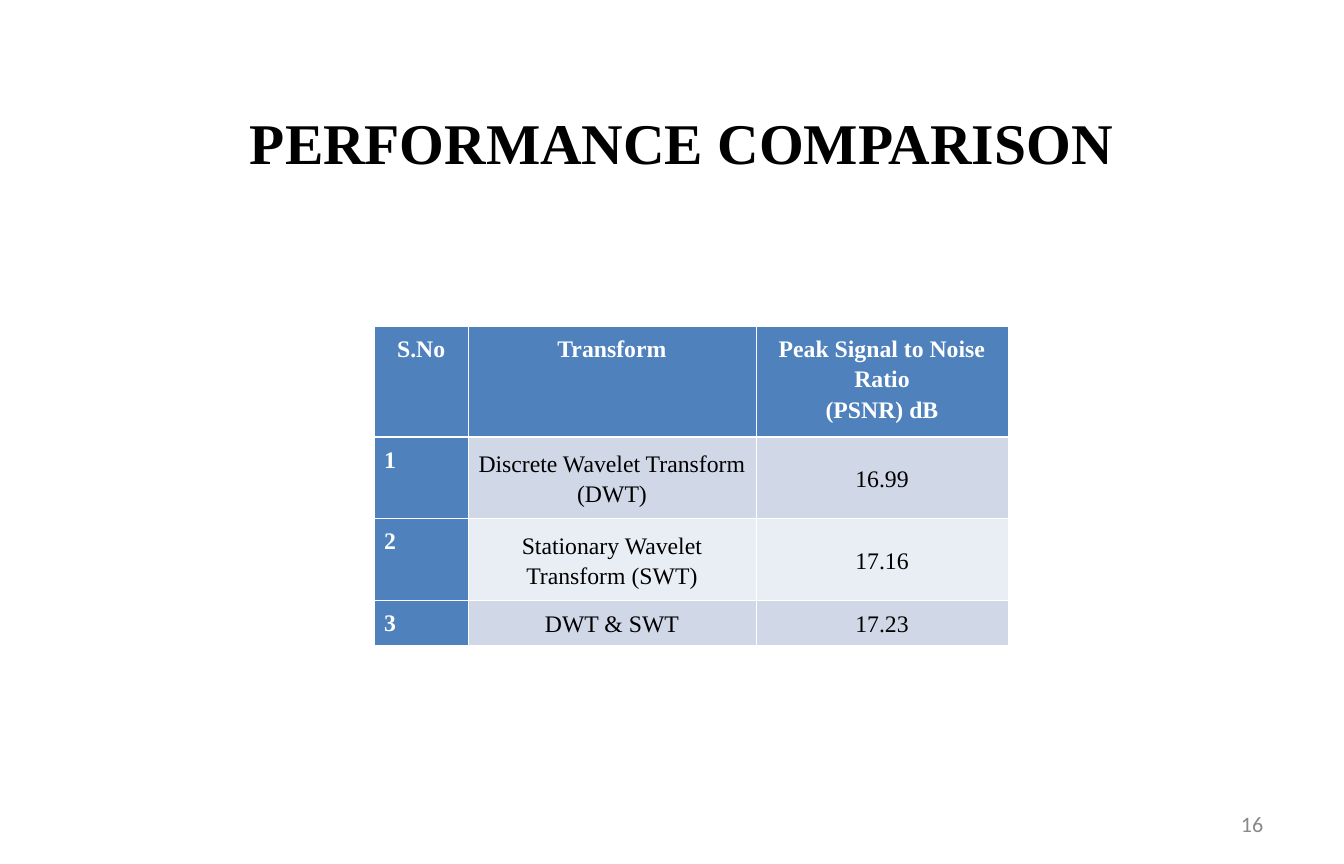
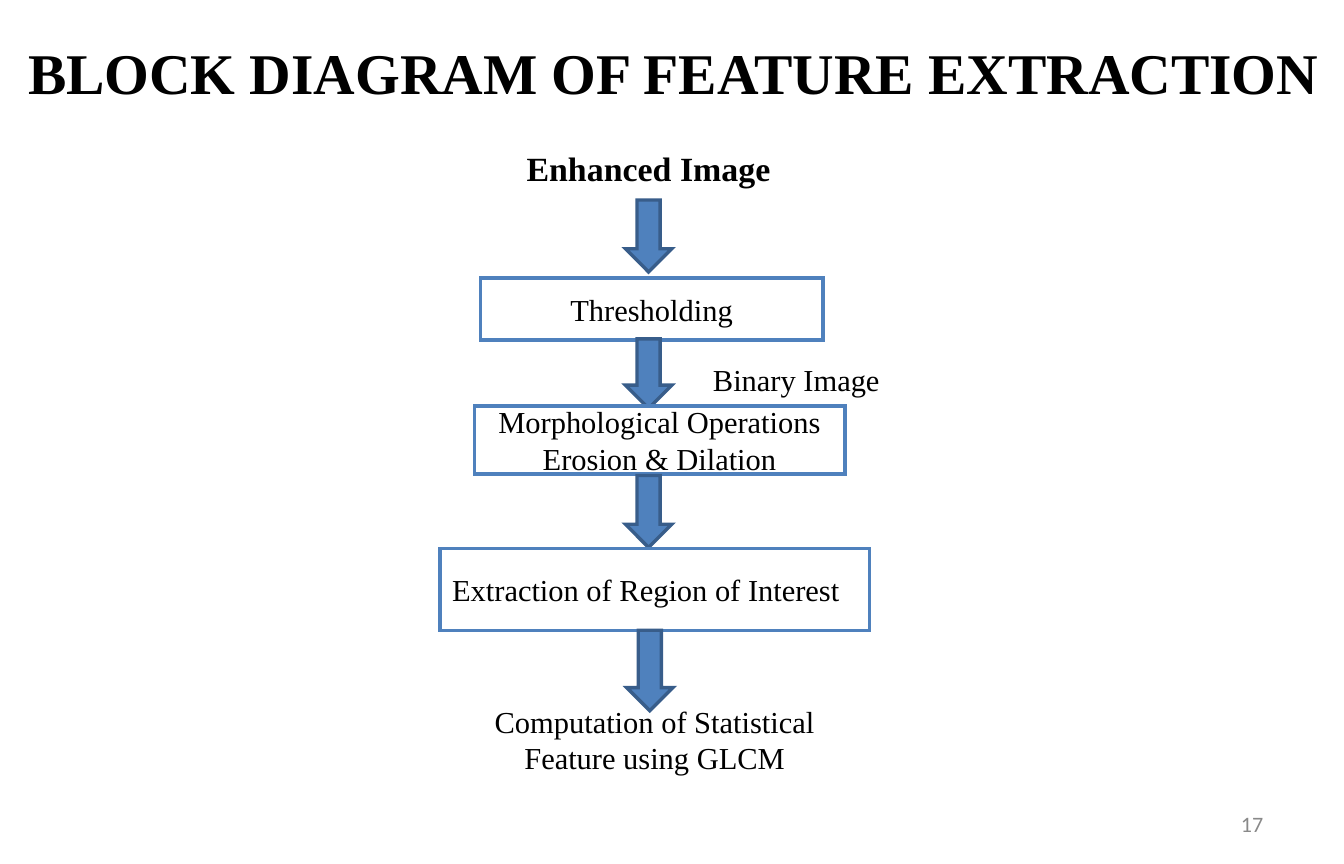
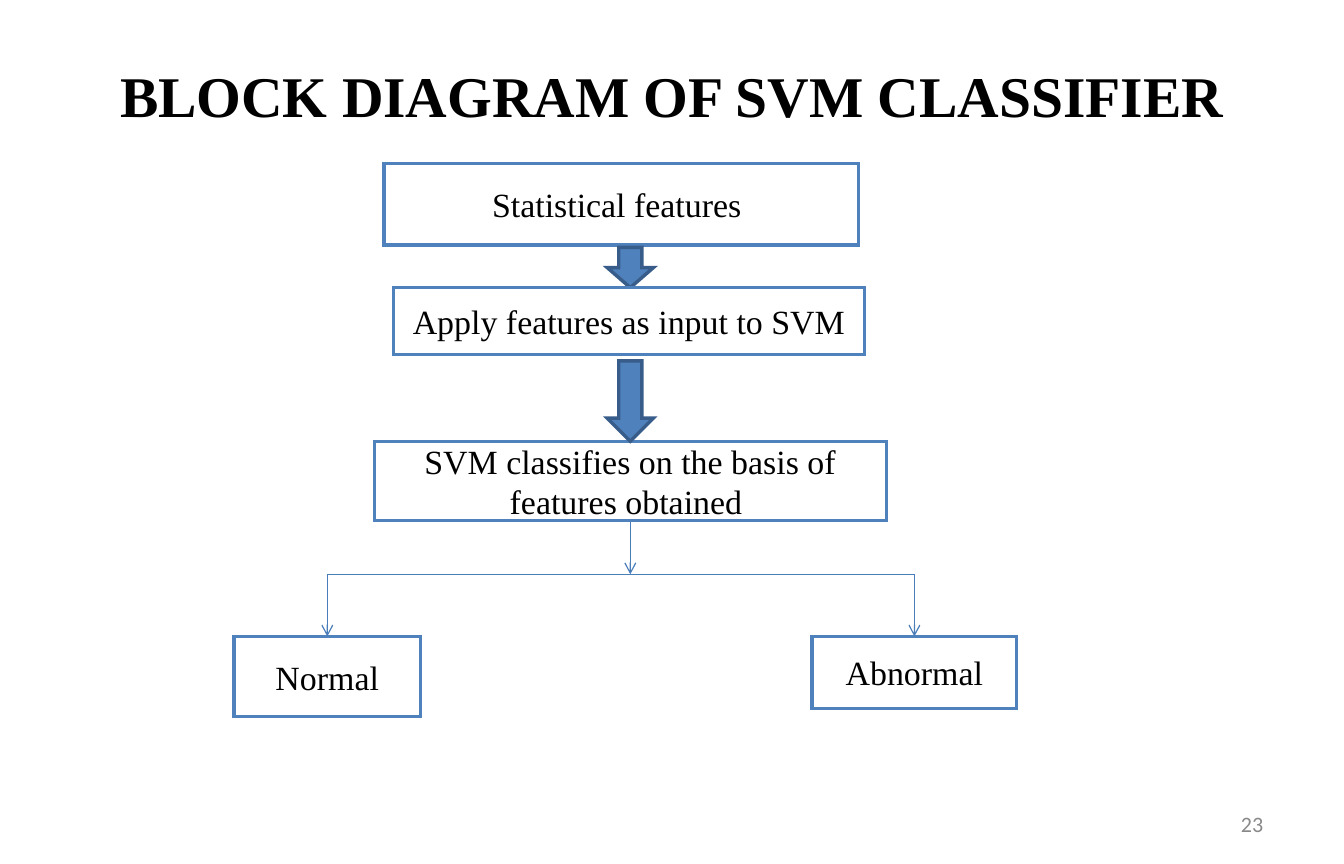
from lxml.etree import SubElement
from pptx import Presentation
from pptx.dml.color import RGBColor
from pptx.enum.shapes import MSO_CONNECTOR as Connector, MSO_SHAPE as Shape
from pptx.enum.text import MSO_ANCHOR as Anchor, MSO_AUTO_SIZE as AutoSize, PP_ALIGN as Align
from pptx.oxml.ns import qn
from pptx.util import Cm, Inches, Pt

BLACK = RGBColor(0x00, 0x00, 0x00)
WHITE = RGBColor(0xFF, 0xFF, 0xFF)
GREY = RGBColor(0x89, 0x89, 0x89)
BLUE = RGBColor(0x4F, 0x81, 0xBD)
DARK_BLUE = RGBColor(0x38, 0x5D, 0x8A)
LINE_BLUE = RGBColor(0x4A, 0x7E, 0xBB)
BAND_DARK = RGBColor(0xD0, 0xD8, 0xE8)
BAND_LIGHT = RGBColor(0xE9, 0xED, 0xF4)
SERIF = "Times New Roman"
SANS = "Calibri"
OUTLINE = Pt(2)

COMPARISON = [
    ("S.No", "Transform", "Peak Signal to Noise Ratio\n(PSNR) dB"),
    ("1", "Discrete Wavelet Transform (DWT)", "16.99"),
    ("2", "Stationary Wavelet Transform (SWT)", "17.16"),
    ("3", "DWT & SWT", "17.23"),
]


def write(frame, text, size=18, font=SERIF, color=BLACK, bold=False,
          align=Align.CENTER, anchor=Anchor.MIDDLE, spacing=None):
    frame.word_wrap = True
    frame.vertical_anchor = anchor
    for index, line in enumerate(text.split("\n")):
        para = frame.add_paragraph() if index else frame.paragraphs[0]
        para.alignment = align
        if spacing:
            para.line_spacing = spacing
        span = para.add_run()
        span.text = line
        span.font.size = Pt(size)
        span.font.name = font
        span.font.bold = bold
        span.font.color.rgb = color


def add_page(deck, title, number, left, top, width, height, align=Align.CENTER):
    page = deck.slides.add_slide(deck.slide_layouts[5])
    heading = page.shapes.title
    heading.left, heading.top = Inches(left), Inches(top)
    heading.width, heading.height = Inches(width), Inches(height)
    heading.text_frame.auto_size = AutoSize.NONE
    set_side_margins(heading.text_frame)
    write(heading.text_frame, title, size=34, bold=True, align=align)
    footer = add_label(page, str(number), 7.9, 6.57, 2.57, 0.38,
                       size=13, font=SANS, color=GREY, align=Align.RIGHT)
    set_side_margins(footer.text_frame)
    return page


def set_side_margins(frame):
    frame.margin_left = frame.margin_right = Inches(0.11)


def add_label(page, text, left, top, width, height, **text_format):
    label = page.shapes.add_textbox(Inches(left), Inches(top), Inches(width), Inches(height))
    write(label.text_frame, text, **text_format)
    return label


def add_figure(page, kind, left, top, width, height, fill, outline):
    figure = page.shapes.add_shape(kind, Inches(left), Inches(top), Inches(width), Inches(height))
    figure.shadow.inherit = False
    figure.fill.solid()
    figure.fill.fore_color.rgb = fill
    if outline is None:
        figure.line.fill.background()
    else:
        figure.line.color.rgb = outline
        figure.line.width = OUTLINE
        SubElement(figure.line._get_or_add_ln(), qn("a:miter"), lim="800000")
    return figure


def add_box(page, text, left, top, width, height, outline=BLUE, **text_format):
    box = add_figure(page, Shape.RECTANGLE, left, top, width, height, WHITE, outline)
    write(box.text_frame, text, **text_format)


def add_down_arrow(page, center, top, height, width=0.38):
    add_figure(page, Shape.DOWN_ARROW, center - width / 2, top, width, height, BLUE, DARK_BLUE)


def add_line(page, start, end, arrow=False):
    line = page.shapes.add_connector(Connector.STRAIGHT, *map(Inches, start + end))
    line.line.color.rgb = LINE_BLUE
    line.line.width = Pt(0.75)
    if arrow:
        SubElement(line.line._get_or_add_ln(), qn("a:tailEnd"), type="arrow")
    SubElement(line._element.spPr, qn("a:effectLst"))


def set_borders(cell, **widths):
    properties = cell._tc.get_or_add_tcPr()
    for side in "LRTB":
        border = SubElement(properties, qn(f"a:ln{side}"), w=str(Pt(widths.get(side, 0.45))))
        fill = SubElement(border, qn("a:solidFill"))
        SubElement(fill, qn("a:srgbClr"), val=str(WHITE))


def add_comparison_table(page, rows, left, top, widths, heights):
    table = page.shapes.add_table(len(rows), len(widths), Inches(left), Inches(top),
                                  Inches(sum(widths)), Inches(sum(heights))).table
    for column, width in zip(table.columns, widths):
        column.width = Inches(width)
    for row_index, (values, height) in enumerate(zip(rows, heights)):
        table.rows[row_index].height = Inches(height)
        for column_index, value in enumerate(values):
            cell = table.cell(row_index, column_index)
            cell.margin_left = cell.margin_right = Inches(0.08)
            header = row_index == 0
            strong = header or column_index == 0
            band = BAND_DARK if row_index % 2 else BAND_LIGHT
            set_borders(cell, **{0: {"B": 1.5}, 1: {"T": 1.5}}.get(row_index, {}))
            cell.fill.solid()
            cell.fill.fore_color.rgb = BLUE if strong else band
            write(cell.text_frame, value, size=14, bold=strong, spacing=1.15,
                  color=WHITE if strong else BLACK,
                  align=Align.LEFT if strong and not header else Align.CENTER)
            cell.vertical_anchor = Anchor.TOP if strong else Anchor.MIDDLE


def build_comparison(deck):
    page = add_page(deck, "PERFORMANCE COMPARISON", 16, 0.63, 0.79, 9.92, 0.74)
    add_comparison_table(page, COMPARISON, 3.07, 2.68,
                         (0.77, 2.36, 2.07), (0.81, 0.67, 0.67, 0.34))


def build_feature_extraction(deck):
    page = add_page(deck, "BLOCK DIAGRAM OF FEATURE EXTRACTION", 17,
                    0.12, 0.16, 10.91, 0.85, align=Align.LEFT)
    center = 5.32
    add_label(page, "Enhanced Image", 3.98, 1.13, 2.68, 0.5, size=20, bold=True)
    add_down_arrow(page, center, 1.64, 0.59)
    add_box(page, "Thresholding", 3.94, 2.28, 2.81, 0.51)
    add_down_arrow(page, center, 2.78, 0.57)
    add_box(page, "Morphological Operations\nErosion & Dilation", 3.89, 3.33, 3.04, 0.56)
    add_down_arrow(page, center, 3.9, 0.59)
    add_box(page, "Extraction of Region of Interest", 3.61, 4.5, 3.52, 0.67, align=Align.LEFT)
    add_box(page, "Computation of Statistical Feature using GLCM",
            3.69, 5.75, 3.36, 0.63, outline=None)
    add_down_arrow(page, center + 0.01, 5.17, 0.66)
    add_label(page, "Binary Image", 5.75, 2.91, 2.34, 0.4, align=Align.LEFT, anchor=Anchor.TOP)


def build_classifier(deck):
    page = add_page(deck, "BLOCK DIAGRAM OF SVM CLASSIFIER", 23, 0.55, 0.28, 9.92, 0.99)
    center, fork, outcome_top = 5.17, 4.71, 5.22
    add_box(page, "Statistical features ", 3.15, 1.34, 3.89, 0.67, size=20)
    add_down_arrow(page, center, 2.03, 0.33)
    add_box(page, "Apply features as input to SVM", 3.23, 2.36, 3.86, 0.55, size=20)
    add_box(page, "SVM classifies on the basis of features obtained ",
            3.07, 3.62, 4.2, 0.65, size=20)
    add_down_arrow(page, center, 2.96, 0.66)
    add_line(page, (center, 4.27), (center, fork), arrow=True)
    outcomes = [("Normal", 1.92, 1.53, 0.66), ("Abnormal", 6.66, 1.68, 0.59)]
    for text, left, width, height in outcomes:
        middle = left + width / 2
        add_box(page, text, left, outcome_top, width, height, size=20)
        add_line(page, (center, fork), (middle, fork))
        add_line(page, (middle, fork), (middle, outcome_top), arrow=True)


def main():
    deck = Presentation()
    deck.slide_width, deck.slide_height = Cm(28), Cm(18)
    build_comparison(deck)
    build_feature_extraction(deck)
    build_classifier(deck)
    deck.save("out.pptx")


main()
